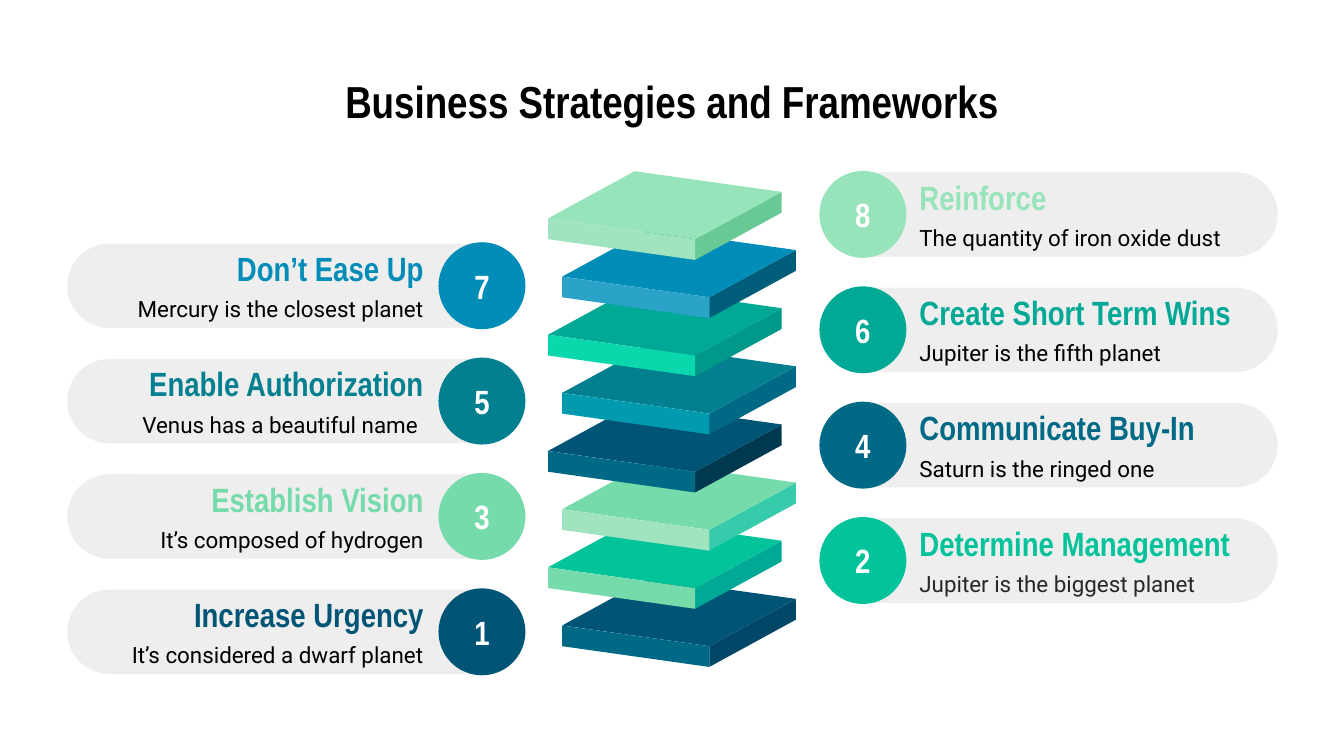
from dataclasses import dataclass

import pptx
import pptx.dml.color
import pptx.enum.shapes
import pptx.enum.text
import pptx.util

Pt = pptx.util.Pt
ALIGN = pptx.enum.text.PP_ALIGN
ANCHOR = pptx.enum.text.MSO_ANCHOR
SHAPE = pptx.enum.shapes.MSO_SHAPE


@dataclass(frozen=True)
class Theme:
    heading_font: str = "Arial Narrow"
    body_font: str = "Roboto"
    title_size: float = 24
    heading_size: float = 18
    body_size: float = 12
    black: str = "000000"
    charcoal: str = "272727"
    white: str = "FFFFFF"
    bar: str = "EEEEEE"


THEME = Theme()


@dataclass(frozen=True)
class Step:
    number: int
    heading: str
    description: str
    top: str  # slab top, also the accent colour of the label unless given
    front: str
    side: str
    description_color: str = THEME.black

    @property
    def on_left(self):
        return self.number % 2 == 1


STEPS = [
    Step(1, "Increase Urgency", "It’s considered a dwarf planet", "005475", "006985", "024668"),
    Step(2, "Determine Management", "Jupiter is the biggest planet", "02C39A", "76DBAB", "00A896",
         THEME.charcoal),
    Step(3, "Establish Vision", "It’s composed of hydrogen", "76DBAB", "9FE3BF", "35CBAB"),
    Step(4, "Communicate Buy-In", "Saturn is the ringed one", "005475", "006985", "00394F"),
    Step(5, "Enable Authorization", "Venus has a beautiful name ", "028090", "009BAE", "006985"),
    Step(6, "Create Short Term Wins", "Jupiter is the fifth planet", "00A896", "0BD7AC", "009888"),
    Step(7, "Don’t Ease Up", "Mercury is the closest planet", "018DB8", "2BA3C8", "005D7A"),
    Step(8, "Reinforce", "The quantity of iron oxide dust", "97E3BA", "9FE3BF", "69C995"),
]
ACCENTS = {4: "006985"}

# Slab corners relative to its left edge and its highest point
BACK, LEFT, FRONT, RIGHT = (46.4, 0), (0, 25.3), (78.8, 36.4), (125.2, 11.1)
THICKNESS = 11.1
SLAB_PITCH = 31.15
FIRST_SLAB_TOP = 309.8

LABEL_PITCH = 61.8
BAR_WIDTH, BAR_HEIGHT = 245.5, 45.2
CIRCLE = 46.6
TEXT_WIDTH, TEXT_HEIGHT = 195.2, 18.7


def rgb(color):
    return pptx.dml.color.RGBColor.from_string(color)


def paint(shape, color):
    shape.shadow.inherit = False
    shape.fill.solid()
    shape.fill.fore_color.rgb = rgb(color)
    shape.line.fill.background()


def write(shape, text, font, size, color, align, bold=False, anchor=ANCHOR.MIDDLE):
    frame = shape.text_frame
    frame.word_wrap = True
    frame.vertical_anchor = anchor
    frame.margin_left = frame.margin_right = Pt(7.2)
    frame.margin_top = frame.margin_bottom = Pt(7.2)
    paragraph = frame.paragraphs[0]
    paragraph.alignment = align
    run = paragraph.add_run()
    run.text = text
    run.font.name = font
    run.font.size = Pt(size)
    run.font.bold = bold
    run.font.color.rgb = rgb(color)


def add_text(shapes, left, top, width, height, *text_style, **options):
    box = shapes.add_textbox(Pt(left), Pt(top), Pt(width), Pt(height))
    write(box, *text_style, **options)


def add_filled(shapes, kind, left, top, width, height, color):
    shape = shapes.add_shape(kind, Pt(left), Pt(top), Pt(width), Pt(height))
    paint(shape, color)
    return shape


def add_face(shapes, corners, color):
    points = [(Pt(x), Pt(y)) for x, y in corners]
    builder = shapes.build_freeform(*points[0])
    builder.add_line_segments(points[1:], close=True)
    paint(builder.convert_to_shape(), color)


def add_slab(slide, step):
    shapes = slide.shapes.add_group_shape().shapes
    x = 301.2 if step.on_left else 293.6
    y = FIRST_SLAB_TOP - (step.number - 1) * SLAB_PITCH

    def place(corner, drop=0):
        return x + corner[0], y + corner[1] + drop

    def wall(start, end):
        return [place(start), place(end), place(end, THICKNESS), place(start, THICKNESS)]

    add_face(shapes, wall(RIGHT, FRONT), step.side)
    add_face(shapes, [place(corner) for corner in (BACK, LEFT, FRONT, RIGHT)], step.top)
    add_face(shapes, wall(LEFT, FRONT), step.front)


def add_label(slide, step):
    """Rounded bar with a numbered circle at its inner end."""
    shapes = slide.shapes.add_group_shape().shapes
    accent = ACCENTS.get(step.number, step.top)
    row = (step.number - 1) // 2
    if step.on_left:
        bar_left, first_top, align = 36, 315.2, ALIGN.RIGHT
        circle_left, text_left = bar_left + BAR_WIDTH - CIRCLE, 38.9
    else:
        bar_left, first_top, align = 439, 277, ALIGN.LEFT
        circle_left, text_left = bar_left, 485.5
    top = first_top - row * LABEL_PITCH

    bar = add_filled(shapes, SHAPE.ROUNDED_RECTANGLE, bar_left, top + (CIRCLE - BAR_HEIGHT) / 2,
                     BAR_WIDTH, BAR_HEIGHT, THEME.bar)
    bar.adjustments[0] = 0.5
    circle = add_filled(shapes, SHAPE.OVAL, circle_left, top, CIRCLE, CIRCLE, accent)
    write(circle, str(step.number), THEME.heading_font, THEME.heading_size, THEME.white,
          ALIGN.CENTER, bold=True)
    add_text(shapes, text_left, top + 26.3, TEXT_WIDTH, TEXT_HEIGHT, step.description,
             THEME.body_font, THEME.body_size, step.description_color, align)
    add_text(shapes, text_left, top + 4.4, TEXT_WIDTH, TEXT_HEIGHT, step.heading,
             THEME.heading_font, THEME.heading_size, accent, align, bold=True)


def main():
    presentation = pptx.Presentation()
    presentation.slide_width, presentation.slide_height = Pt(720), Pt(405)
    slide = presentation.slides.add_slide(presentation.slide_layouts[6])
    add_text(slide.shapes, 36, 32.4, 648, 45, "Business Strategies and Frameworks",
             THEME.heading_font, THEME.title_size, THEME.black, ALIGN.CENTER,
             bold=True, anchor=ANCHOR.TOP)
    for step in STEPS:
        add_slab(slide, step)
    for step in STEPS:
        add_label(slide, step)
    presentation.save("out.pptx")


if __name__ == "__main__":
    main()
